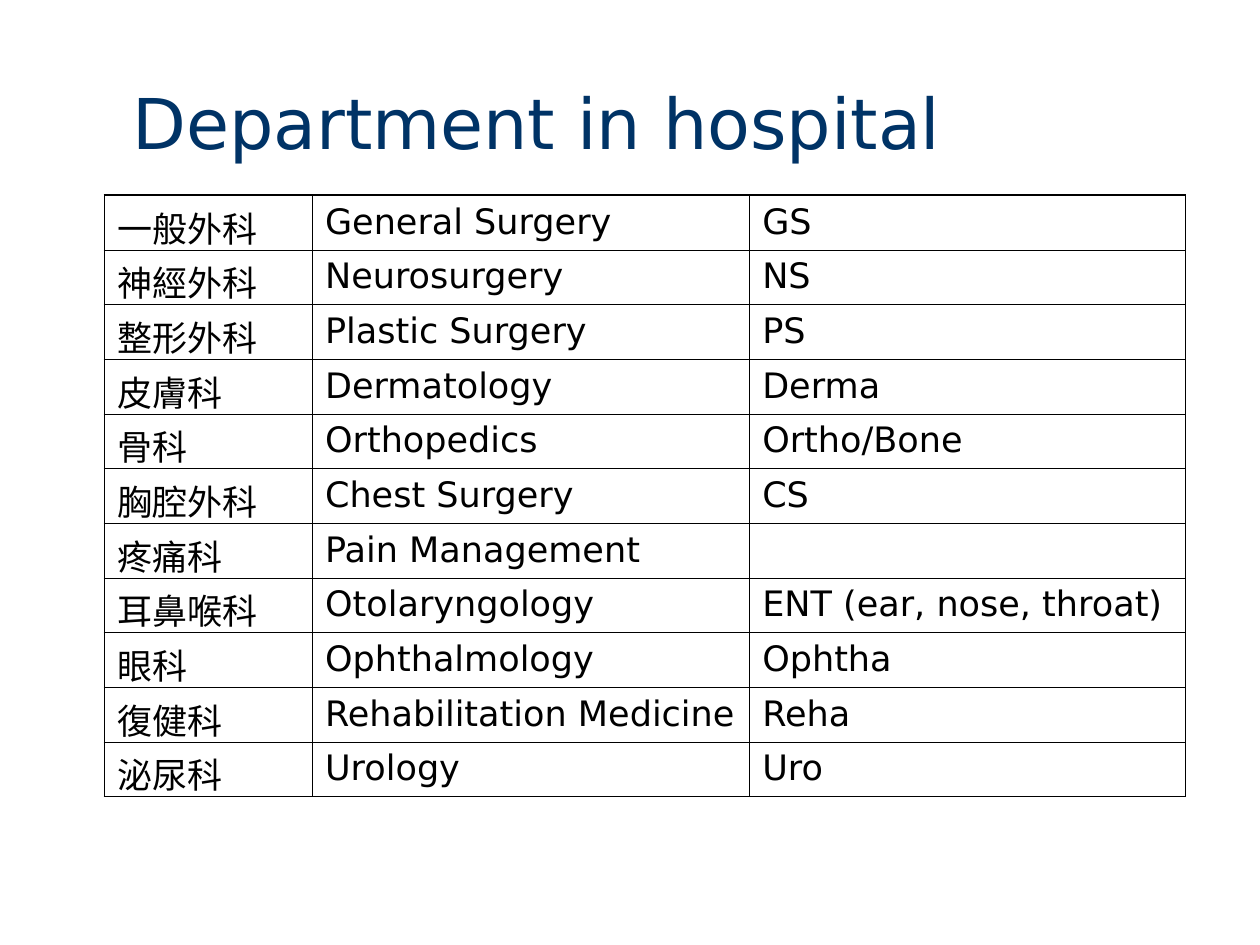
from dataclasses import dataclass

from lxml import etree
from pptx import Presentation
from pptx import util as u
from pptx.dml.color import RGBColor
from pptx.enum import text
from pptx.oxml.ns import qn


@dataclass
class Theme:
    font: str = "DejaVu Sans"
    navy: str = "003366"
    black: str = "000000"
    head: int = 40
    body: int = 20
    thin: float = 0.45
    thick: float = 1.08


ROWS = [
    ("一般外科", "General Surgery", "GS"),
    ("神經外科", "Neurosurgery", "NS"),
    ("整形外科", "Plastic Surgery", "PS"),
    ("皮膚科", "Dermatology", "Derma"),
    ("骨科", "Orthopedics", "Ortho/Bone"),
    ("胸腔外科", "Chest Surgery", "CS"),
    ("疼痛科", "Pain Management", ""),
    ("耳鼻喉科", "Otolaryngology", "ENT (ear, nose, throat)"),
    ("眼科", "Ophthalmology", "Ophtha"),
    ("復健科", "Rehabilitation Medicine", "Reha"),
    ("泌尿科", "Urology", "Uro"),
]


def apply(item, **values):
    for name, value in values.items():
        setattr(item, name, value)


class Deck:
    def __init__(self, theme):
        self.theme = theme
        self.prs = Presentation()
        apply(self.prs, slide_width=u.Inches(10), slide_height=u.Inches(7.5))
        self.slide = self.prs.slides.add_slide(self.prs.slide_layouts[5])

    def label(self, frame, words, size, color):
        para = frame.paragraphs[0]
        para.alignment = text.PP_ALIGN.LEFT
        if words:
            run = para.add_run()
            run.text = words
            apply(run.font, name=self.theme.font, size=u.Pt(size))
            run.font.color.rgb = RGBColor.from_string(color)

    def title(self, words, left, top, width, height):
        box = self.slide.shapes.title
        apply(box, left=u.Inches(left), top=u.Inches(top),
              width=u.Inches(width), height=u.Inches(height))
        apply(box.text_frame, word_wrap=True,
              vertical_anchor=text.MSO_ANCHOR.BOTTOM,
              auto_size=text.MSO_AUTO_SIZE.SHAPE_TO_FIT_TEXT)
        self.label(box.text_frame, words, self.theme.head, self.theme.navy)

    def border(self, cell, edges):
        """Draw the four sides; edges maps L, R, T, B to True for thick."""
        props = cell._tc.get_or_add_tcPr()
        for spot, (side, outer) in enumerate(edges.items()):
            width = self.theme.thick if outer else self.theme.thin
            line = etree.Element(qn(f"a:ln{side}"), w=str(u.Pt(width)))
            fill = etree.SubElement(line, qn("a:solidFill"))
            etree.SubElement(fill, qn("a:srgbClr"), val=self.theme.black)
            props.insert(spot, line)

    def table(self, rows, left, top, widths, height):
        count, last = len(rows), len(widths) - 1
        grid = self.slide.shapes.add_table(
            count, len(widths), u.Inches(left), u.Inches(top),
            u.Inches(sum(widths)), u.Inches(height)).table
        apply(grid, first_row=False, horz_banding=False)
        for col, width in zip(grid.columns, widths):
            col.width = u.Inches(width)
        for r, row in enumerate(rows):
            for c, words in enumerate(row):
                cell = grid.cell(r, c)
                cell.fill.background()
                self.label(cell.text_frame, words, self.theme.body,
                           self.theme.black)
                self.border(cell, {"L": c == 0, "R": c == last,
                                   "T": r == 0, "B": r == count - 1})


def main():
    deck = Deck(Theme())
    deck.title("Department in hospital", 0.95, 0.58, 8.93, 0.77)
    deck.table(ROWS, 0.83, 1.55, (1.65, 3.47, 3.46), 4.77)
    deck.prs.save("out.pptx")


if __name__ == "__main__":
    main()
